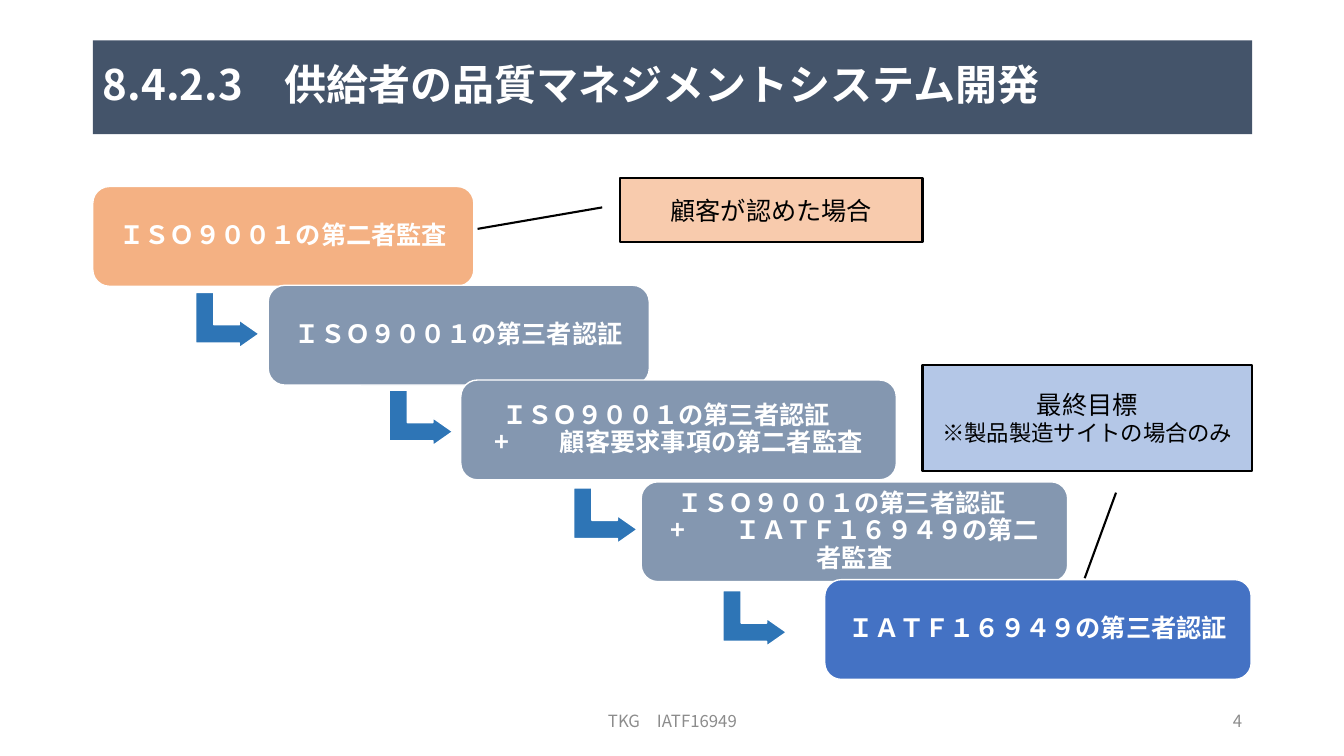
from dataclasses import dataclass
from typing import NamedTuple

from lxml import etree
from pptx import Presentation
from pptx.dml.color import RGBColor
from pptx.enum.shapes import MSO_SHAPE
from pptx.enum.text import MSO_ANCHOR, MSO_AUTO_SIZE, PP_ALIGN
from pptx.oxml.ns import qn
from pptx.shapes.autoshape import Shape
from pptx.slide import Slide
from pptx.text.text import TextFrame
from pptx.util import Inches, Pt

ROUNDED = MSO_SHAPE.ROUNDED_RECTANGLE
BENT_ARROW = MSO_SHAPE.BENT_UP_ARROW
CALLOUT = MSO_SHAPE.LINE_CALLOUT_1
MIDDLE = MSO_ANCHOR.MIDDLE
NO_AUTOFIT = MSO_AUTO_SIZE.NONE
LEFT, CENTER, RIGHT = PP_ALIGN.LEFT, PP_ALIGN.CENTER, PP_ALIGN.RIGHT
TITLE_ONLY = 5


@dataclass(frozen=True)
class Theme:
    font: str = "Noto Sans CJK JP"
    white: str = "FFFFFF"
    black: str = "000000"
    muted: str = "8C8C8C"
    banner: str = "44546A"
    arrow: str = "2E75B6"
    start: str = "F4B183"
    middle: str = "8497B0"
    goal: str = "4472C4"
    condition_note: str = "F8CBAD"
    goal_note: str = "B4C7E7"
    title_size: int = 30
    body_size: int = 18
    note_size: int = 16
    footer_size: int = 12


THEME = Theme()


class Box(NamedTuple):
    left: float
    top: float
    width: float
    height: float


class Line(NamedTuple):
    text: str
    size: int


class Step(NamedTuple):
    text: str
    left: float
    top: float
    width: float
    fill: str
    arrow: tuple[float, float] | None


class Note(NamedTuple):
    box: Box
    fill: str
    pointer: tuple[float, ...]
    lines: list[Line]


class Footer(NamedTuple):
    text: str
    box: Box
    alignment: PP_ALIGN


STEP_HEIGHT = 0.99
STEP_INSET = 0.12
ARROW_WIDTH, ARROW_HEIGHT = 0.55, 0.63
ARROW_SHAPE = (0.328, 0.25, 0.358)

TITLE = "8.4.2.3　供給者の品質マネジメントシステム開発"
TITLE_BOX = Box(0.92, 0.4, 11.5, 0.93)
STEPS = [
    Step("ＩＳＯ９００１の第二者監査", 0.92, 1.85, 3.78, THEME.start, (1.98, 2.86)),
    Step("ＩＳＯ９００１の第三者認証", 2.66, 2.83, 3.78, THEME.middle, (3.9, 3.83)),
    Step("ＩＳＯ９００１の第三者認証　+　　顧客要求事項の第二者監査",
         4.57, 3.77, 4.32, THEME.middle, (5.73, 4.8)),
    Step("ＩＳＯ９００１の第三者認証　+　　ＩＡＴＦ１６９４９の第二者監査",
         6.36, 4.78, 4.23, THEME.middle, (7.21, 5.82)),
    Step("ＩＡＴＦ１６９４９の第三者認証", 8.18, 5.75, 4.23, THEME.goal, None),
]
NOTES = [
    Note(Box(6.15, 1.77, 3, 0.63), THEME.condition_note, (0.457, -0.059, 0.795, -0.471),
         [Line("顧客が認めた場合", THEME.body_size)]),
    Note(Box(9.15, 3.62, 3.27, 1.05), THEME.goal_note, (1.207, 0.587, 2.015, 0.492),
         [Line("最終目標", THEME.body_size),
          Line("※製品製造サイトの場合のみ", THEME.note_size)]),
]
FOOTERS = [
    Footer("TKG　IATF16949", Box(4.42, 6.95, 4.5, 0.4), CENTER),
    Footer("4", Box(9.42, 6.95, 3, 0.4), RIGHT),
]


def color(value: str) -> RGBColor:
    return RGBColor.from_string(value)


def lengths(box: Box) -> list[Inches]:
    return [Inches(value) for value in box]


def write(frame: TextFrame, lines: list[Line], ink: str, alignment: PP_ALIGN,
          bold: bool = False, spacing: float = 1.0) -> None:
    frame.auto_size = NO_AUTOFIT
    frame.word_wrap = True
    frame.vertical_anchor = MIDDLE
    for index, line in enumerate(lines):
        paragraph = frame.add_paragraph() if index else frame.paragraphs[0]
        paragraph.alignment = alignment
        paragraph.line_spacing = spacing
        run = paragraph.add_run()
        run.text = line.text
        run.font.name = THEME.font
        run.font.size = Pt(line.size)
        run.font.bold = bold
        run.font.color.rgb = color(ink)
        east_asian = etree.SubElement(run.font._element, qn("a:ea"))
        east_asian.set("typeface", THEME.font)


def add_figure(slide: Slide, preset: MSO_SHAPE, box: Box, fill: str,
               outline: str, weight: float) -> Shape:
    shape = slide.shapes.add_shape(preset, *lengths(box))
    shape.shadow.inherit = False
    shape.fill.solid()
    shape.fill.fore_color.rgb = color(fill)
    shape.line.color.rgb = color(outline)
    shape.line.width = Pt(weight)
    return shape


def adjust(shape: Shape, values: tuple[float, ...]) -> None:
    for index, value in enumerate(values):
        shape.adjustments[index] = value


def add_title(slide: Slide) -> None:
    title = slide.shapes.title
    title.left, title.top, title.width, title.height = lengths(TITLE_BOX)
    title.fill.solid()
    title.fill.fore_color.rgb = color(THEME.banner)
    write(title.text_frame, [Line(TITLE, THEME.title_size)], THEME.white, LEFT, True, 0.9)


def add_step(slide: Slide, step: Step) -> None:
    if step.arrow:
        arrow_box = Box(*step.arrow, ARROW_WIDTH, ARROW_HEIGHT)
        arrow = add_figure(slide, BENT_ARROW, arrow_box, THEME.arrow, THEME.white, 1)
        arrow.rotation = 90
        adjust(arrow, ARROW_SHAPE)
    box = Box(step.left, step.top, step.width, STEP_HEIGHT)
    shape = add_figure(slide, ROUNDED, box, step.fill, THEME.white, 1)
    frame = shape.text_frame
    frame.margin_left = frame.margin_right = Inches(STEP_INSET)
    frame.margin_top = frame.margin_bottom = Inches(STEP_INSET)
    write(frame, [Line(step.text, THEME.body_size)], THEME.white, CENTER, True, 0.9)


def add_note(slide: Slide, note: Note) -> None:
    shape = add_figure(slide, CALLOUT, note.box, note.fill, THEME.black, 1.5)
    adjust(shape, note.pointer)
    write(shape.text_frame, note.lines, THEME.black, CENTER)


def add_footer(slide: Slide, footer: Footer) -> None:
    textbox = slide.shapes.add_textbox(*lengths(footer.box))
    write(textbox.text_frame, [Line(footer.text, THEME.footer_size)],
          THEME.muted, footer.alignment)


def main() -> None:
    presentation = Presentation()
    presentation.slide_width = Inches(13.33)
    presentation.slide_height = Inches(7.5)
    slide = presentation.slides.add_slide(presentation.slide_layouts[TITLE_ONLY])
    add_title(slide)
    for step in STEPS:
        add_step(slide, step)
    for note in NOTES:
        add_note(slide, note)
    for footer in FOOTERS:
        add_footer(slide, footer)
    presentation.save("out.pptx")


if __name__ == "__main__":
    main()
